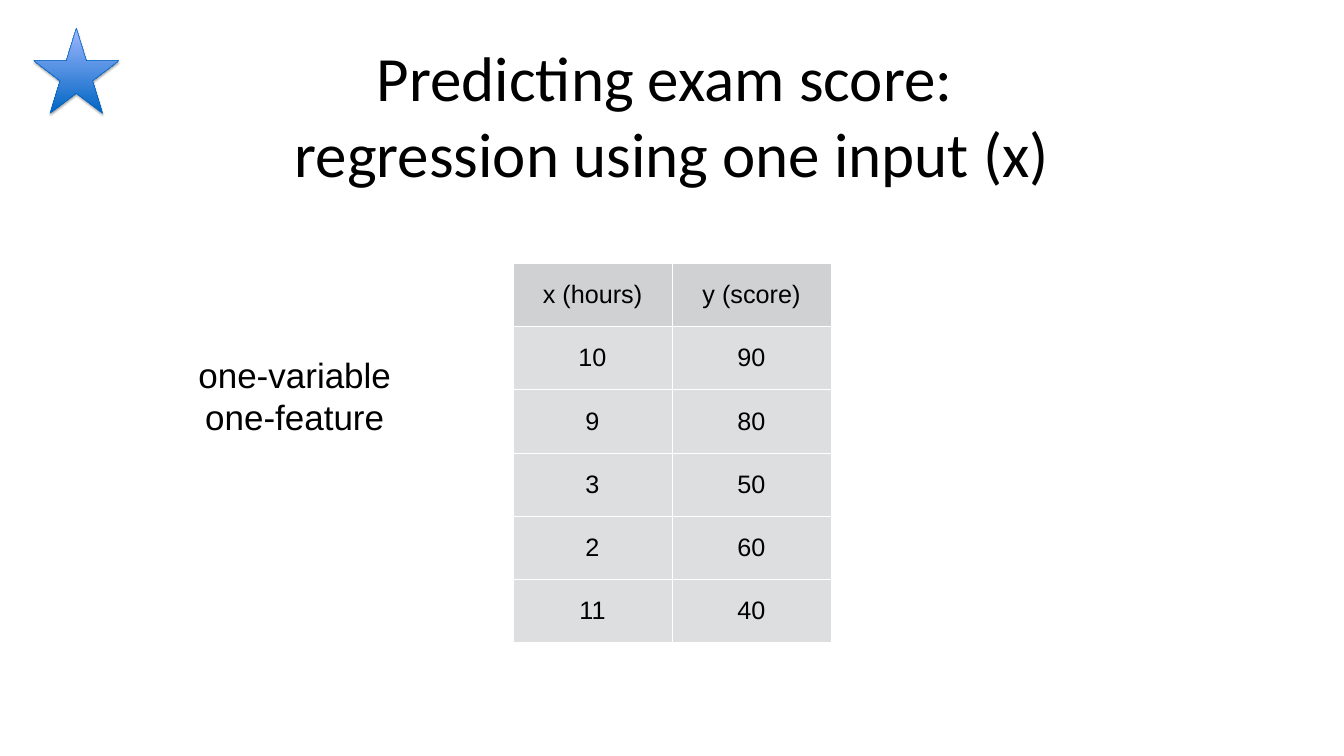
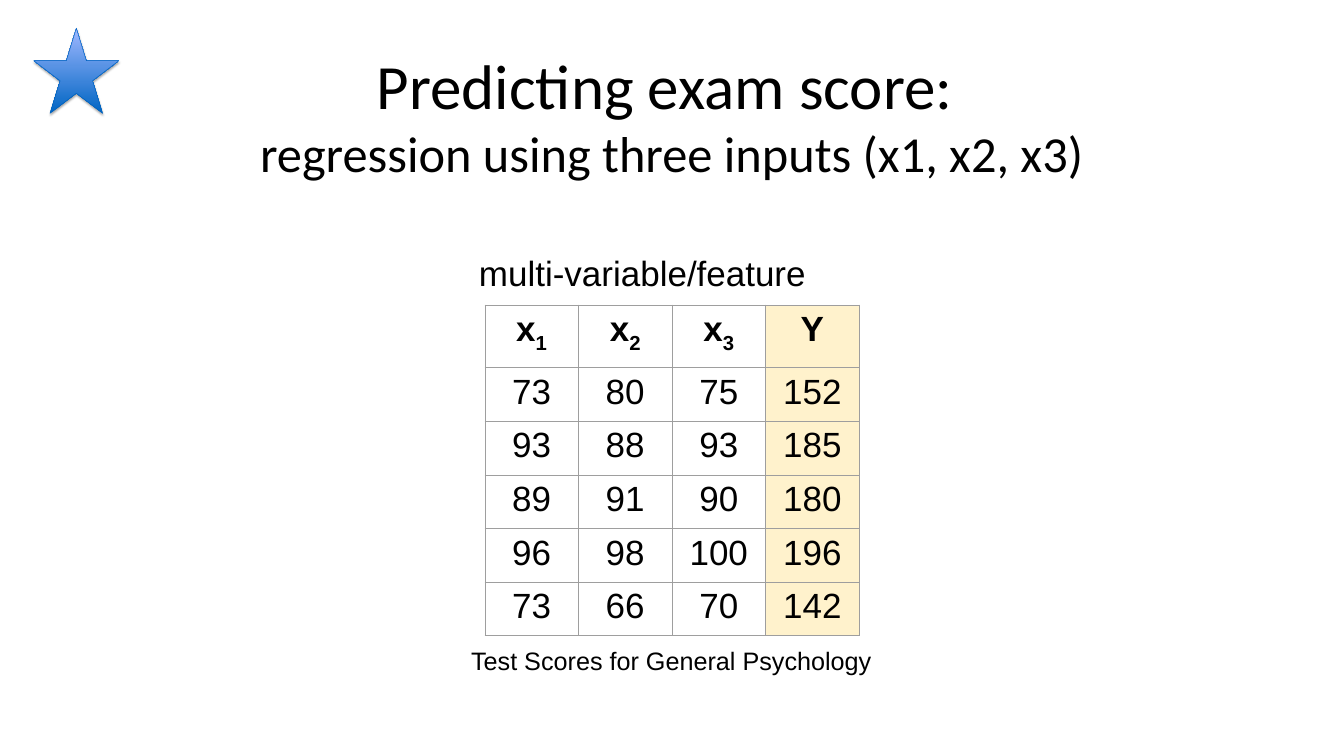
from lxml.etree import SubElement
from pptx import Presentation
from pptx.dml.color import RGBColor
from pptx.enum.shapes import MSO_SHAPE as Shape
from pptx.enum.text import MSO_ANCHOR as Anchor, PP_ALIGN as Align
from pptx.oxml.ns import qn
from pptx.util import Inches, Pt

COLORS = {
    "text": "000000",
    "star_dark": "0065C3",
    "star_light": "A0B8FF",
    "star_line": "0063BF",
    "white": "FFFFFF",
    "header": "D0D1D2",
    "body": "DCDEE0",
    "grid": "9E9E9E",
    "target": "FFF2CC",
}
TITLE_FONT, BODY_FONT = "Calibri", "Arial"
TITLE_SIZE, LABEL_SIZE, SMALL_SIZE = 90, 50, 36
SLIDE_WIDTH, SLIDE_HEIGHT = Inches(26.67), Inches(15)

# Boxes: left, top, width, height in percent of the slide
STAR_BOX = (2.51, 3.73, 6.34, 11.27)
TITLE_BOX = (0, 2.6, 100, 25)

HOURS_ROWS = [
    ("x (hours)", "y (score)"),
    (10, 90), (9, 80), (3, 50), (2, 60), (11, 40),
]
SCORES_ROWS = [
    ("x1", "x2", "x3", "Y"),
    (73, 80, 75, 152),
    (93, 88, 93, 185),
    (89, 91, 90, 180),
    (96, 98, 100, 196),
    (73, 66, 70, 142),
]


def color(name):
    return RGBColor.from_string(COLORS[name])


def place(box):
    left, top, width, height = box
    return (round(SLIDE_WIDTH * left / 100), round(SLIDE_HEIGHT * top / 100),
            round(SLIDE_WIDTH * width / 100), round(SLIDE_HEIGHT * height / 100))


def add_run(paragraph, text, size, font=BODY_FONT, bold=False, subscript=False):
    run = paragraph.add_run()
    run.text = text
    run.font.size, run.font.name, run.font.bold = Pt(size), font, bold
    run.font.color.rgb = color("text")
    if subscript:
        run._r.get_or_add_rPr().set("baseline", "-25000")


def set_margins(target, inset):
    target.margin_left = target.margin_right = Inches(inset)
    target.margin_top = target.margin_bottom = Inches(inset)


def add_text(slide, box, lines, font=BODY_FONT, align=Align.CENTER, inset=0.08):
    """Add a text box; lines holds one (text, size) pair per paragraph."""
    frame = slide.shapes.add_textbox(*place(box)).text_frame
    frame.word_wrap = True
    frame.vertical_anchor = Anchor.MIDDLE
    set_margins(frame, inset)
    for index, (text, size) in enumerate(lines):
        paragraph = frame.add_paragraph() if index else frame.paragraphs[0]
        paragraph.alignment = align
        add_run(paragraph, text, size, font)


def add_star(slide, box):
    star = slide.shapes.add_shape(Shape.STAR_5_POINT, *place(box))
    star.fill.gradient()
    star.fill.gradient_angle = 90
    for stop, name, position in zip(star.fill.gradient_stops,
                                    ("star_dark", "star_light"), (0, 1)):
        stop.color.rgb = color(name)
        stop.position = position
    star.line.color.rgb = color("star_line")
    star.line.width = Pt(0.75)
    # Soft shadow straight below
    star.shadow.inherit = False
    effects = star._element.spPr.find(qn("a:effectLst"))
    shadow = SubElement(effects, qn("a:outerShdw"), blurRad=str(Pt(3.1)),
                        dist=str(Pt(1.8)), dir="5400000", rotWithShape="0")
    shade = SubElement(shadow, qn("a:srgbClr"), val=COLORS["text"])
    SubElement(shade, qn("a:alpha"), val="35000")


def add_borders(cell, name, width):
    properties = cell._tc.get_or_add_tcPr()
    for side in ("lnL", "lnR", "lnT", "lnB"):
        line = SubElement(properties, qn(f"a:{side}"), w=str(Pt(width)))
        fill = SubElement(line, qn("a:solidFill"))
        SubElement(fill, qn("a:srgbClr"), val=COLORS[name])


def add_table(slide, box, rows, weights, border, inset, anchor, fill_name, write):
    """Add a table with equal columns and rows sized by weights."""
    left, top, width, height = place(box)
    columns = len(rows[0])
    table = slide.shapes.add_table(len(rows), columns, left, top, width, height).table
    table.first_row = table.horz_banding = False
    for column in table.columns:
        column.width = round(width / columns)
    for row, weight in zip(table.rows, weights):
        row.height = round(height * weight / sum(weights))
    for r, values in enumerate(rows):
        for c, value in enumerate(values):
            cell = table.cell(r, c)
            cell.vertical_anchor = anchor
            set_margins(cell, inset)
            add_borders(cell, *border)
            name = fill_name(r, c)
            if name:
                cell.fill.solid()
                cell.fill.fore_color.rgb = color(name)
            else:
                cell.fill.background()
            paragraph = cell.text_frame.paragraphs[0]
            paragraph.alignment = Align.CENTER
            write(paragraph, str(value), r == 0)


def write_hours(paragraph, text, is_header):
    add_run(paragraph, text, SMALL_SIZE)


def write_score(paragraph, text, is_header):
    """Write a value; header digits become subscripts."""
    if not is_header:
        add_run(paragraph, text, LABEL_SIZE)
        return
    add_run(paragraph, text[0], LABEL_SIZE, bold=True)
    if text[1:]:
        add_run(paragraph, text[1:], LABEL_SIZE, bold=True, subscript=True)


def add_base_slide(presentation, subtitle, subtitle_size):
    """Add a blank slide with the shared title and star."""
    slide = presentation.slides.add_slide(presentation.slide_layouts[6])
    add_text(slide, TITLE_BOX, [("Predicting exam score: ", TITLE_SIZE),
                                (subtitle, subtitle_size)], TITLE_FONT)
    add_star(slide, STAR_BOX)
    return slide


def build_one_input(presentation):
    slide = add_base_slide(presentation, "regression using one input (x)", TITLE_SIZE)
    add_table(slide, (38.17, 34.87, 23.66, 50.07), HOURS_ROWS, [1] * 6,
              ("white", 1), 0.06, Anchor.MIDDLE,
              lambda r, c: "body" if r else "header", write_hours)
    add_text(slide, (14.02, 46.27, 15.82, 12.13),
             [("one-variable", LABEL_SIZE), ("one-feature", LABEL_SIZE)])


def build_three_inputs(presentation):
    slide = add_base_slide(presentation, "regression using three inputs (x1, x2, x3)", 72)
    add_text(slide, (30.93, 32.73, 33.75, 6.6), [("multi-variable/feature", LABEL_SIZE)])
    add_table(slide, (36.07, 40.33, 27.86, 43.73), SCORES_ROWS, [1.17] + [1] * 5,
              ("grid", 0.75), 0.1, Anchor.TOP,
              lambda r, c: "target" if c == 3 else None, write_score)
    add_text(slide, (34.68, 80.67, 30.6, 13.27),
             [("Test Scores for General Psychology", SMALL_SIZE)],
             align=Align.LEFT, inset=0.1)


def main():
    presentation = Presentation()
    presentation.slide_width, presentation.slide_height = SLIDE_WIDTH, SLIDE_HEIGHT
    build_one_input(presentation)
    build_three_inputs(presentation)
    presentation.save("out.pptx")


if __name__ == "__main__":
    main()
